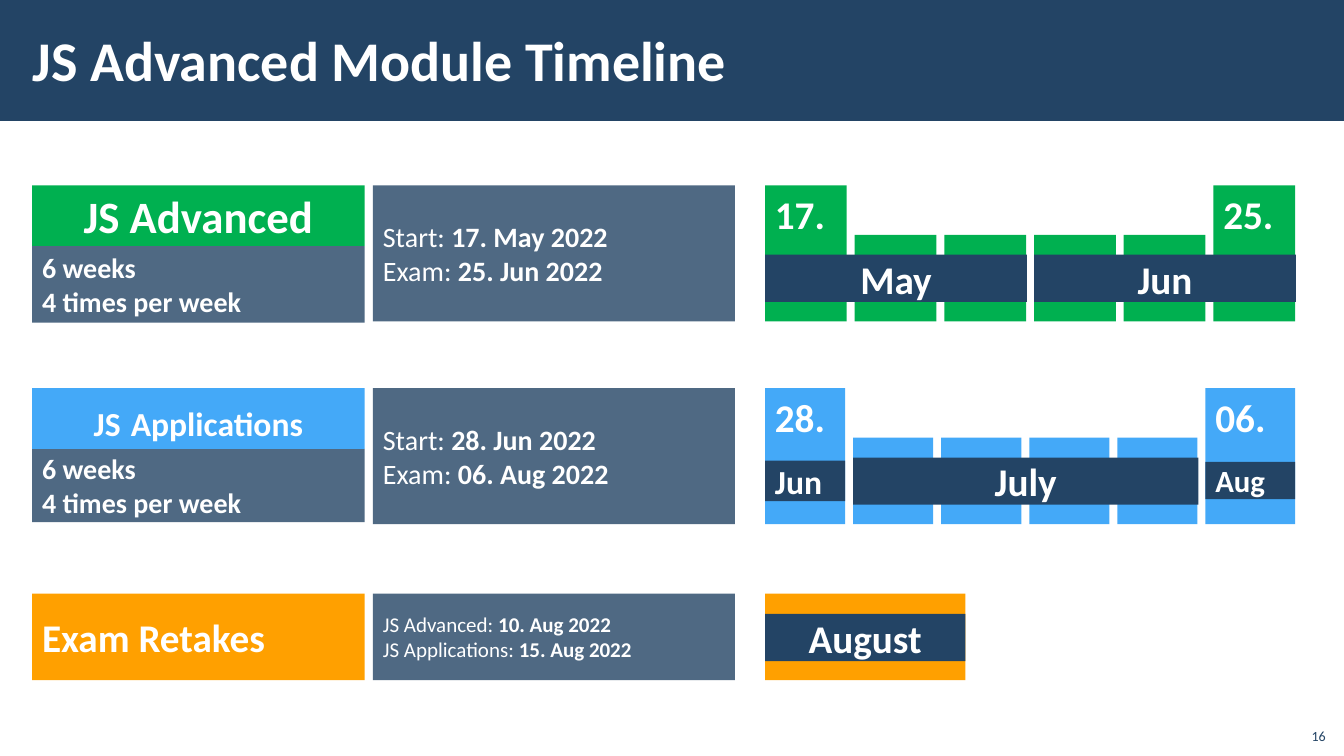
"""Build the module timeline slide with course dates and month bars."""
from dataclasses import dataclass

from lxml.etree import SubElement
from pptx import Presentation
from pptx.dml.color import RGBColor
from pptx.enum.shapes import MSO_SHAPE
from pptx.enum.text import MSO_ANCHOR, PP_ALIGN
from pptx.oxml.ns import qn
from pptx.util import Cm, Pt


@dataclass(frozen=True)
class Theme:
    font: str = "Calibri"
    navy: str = "234465"
    white: str = "FFFFFF"
    green: str = "00B050"
    blue: str = "44A9F8"
    orange: str = "FFA000"
    title: int = 40
    large: int = 32
    head: int = 28
    mid: int = 24
    short: int = 22
    body: int = 20
    small: int = 15
    page: int = 10


theme = Theme()


def write(shape, lines, size, color=theme.white, align=PP_ALIGN.LEFT,
          anchor=MSO_ANCHOR.MIDDLE, bold=True):
    """Fill a shape with lines, each a plain label and a main text."""
    frame = shape.text_frame
    frame.word_wrap = True
    frame.vertical_anchor = anchor
    for i, (label, text) in enumerate(lines):
        para = frame.add_paragraph() if i else frame.paragraphs[0]
        para.alignment = align
        para.font.name = theme.font
        para.font.size = Pt(size)
        para.font.bold = bold
        para.font.color.rgb = RGBColor.from_string(color)
        if label:
            run = para.add_run()
            run.text = label
            run.font.bold = False
        para.add_run().text = text
    return frame


def block(parent, left, top, width, height, color, alpha=None):
    """Draw a plain rectangle, see-through when alpha is given."""
    shape = parent.add_shape(MSO_SHAPE.RECTANGLE, Cm(left), Cm(top), Cm(width), Cm(height))
    shape.shadow.inherit = False
    shape.line.fill.background()
    shape.fill.solid()
    shape.fill.fore_color.rgb = RGBColor.from_string(color)
    if alpha:
        tint = shape._element.spPr.find(qn("a:solidFill"))[0]
        SubElement(tint, qn("a:alpha"), val=str(alpha * 1000))
    return shape


deck = Presentation()
deck.slide_width, deck.slide_height = Cm(33.87), Cm(19.05)
slide = deck.slides.add_slide(deck.slide_layouts[6])
shapes = slide.shapes

block(shapes, 0, 0, 33.87, 3.05, theme.navy)
title = shapes.add_textbox(Cm(0.53), Cm(0.28), Cm(26.97), Cm(2.44))
frame = write(title, [("", "JS Advanced Module Timeline")], theme.title)
frame.margin_left = frame.margin_right = Cm(0.3)
frame.margin_top = frame.margin_bottom = Cm(0.1)
page = shapes.add_textbox(Cm(32.64), Cm(18.08), Cm(1.02), Cm(0.81))
write(page, [("", "16")], theme.page, theme.navy, PP_ALIGN.RIGHT, MSO_ANCHOR.BOTTOM, False)

name_x, name_w = 0.81, 8.38
date_x, date_w = 9.4, 9.12
bar_x, gap = 19.28, 0.2
tall, low, head_h, band_h = 3.43, 2.18, 1.53, 1.19

courses = [
    dict(top=4.67, color=theme.green, name=["JS Advanced"], size=theme.large, weeks_h=1.93,
         dates=["17. May 2022", "25. Jun 2022"], days=["17.", "25."], width=2.06, last=2.06,
         months=[("May", 0, 6.6, 1.75, band_h, theme.head, PP_ALIGN.CENTER),
                 ("Jun", 3, 6.6, 1.75, band_h, theme.head, PP_ALIGN.CENTER)]),
    dict(top=9.78, color=theme.blue, name=["JS", " ", "Applications"], size=theme.mid, weeks_h=1.85,
         dates=["28. Jun 2022", "06. Aug 2022"], days=["28.", "06."], width=2.02, last=2.26,
         months=[("Jun", 0, 2.02, 1.83, 1.02, theme.mid, PP_ALIGN.LEFT),
                 ("July", 1, 8.7, 1.75, band_h, theme.head, PP_ALIGN.CENTER),
                 ("Aug", 5, 2.26, 1.86, 0.94, theme.short, PP_ALIGN.LEFT)]),
]

for course in courses:
    top, color = course["top"], course["color"]
    weeks = block(shapes, name_x, top + head_h, name_w, course["weeks_h"], theme.navy, 80)
    write(weeks, [("", "6 weeks"), ("", "4 times per week")], theme.body)

    head = block(shapes, name_x, top, name_w, head_h, color)
    first, *rest = course["name"]
    frame = write(head, [("", first)], course["size"], align=PP_ALIGN.CENTER)
    for part in rest:
        run = frame.paragraphs[0].add_run()
        run.text = part
        if part == " ":
            run.font.size = Pt(theme.large)

    dates = block(shapes, date_x, top, date_w, tall, theme.navy, 80)
    write(dates, zip(["Start: ", "Exam: "], course["dates"]), theme.body)

    group = shapes.add_group_shape().shapes
    step = course["width"] + gap
    for week in range(6):
        edge = week in (0, 5)
        height = tall if edge else low
        width = course["last"] if week == 5 else course["width"]
        bar = block(group, bar_x + week * step, top + tall - height, width, height, color)
        if edge:
            write(bar, [("", course["days"][week // 5])], theme.head, anchor=MSO_ANCHOR.TOP)
    for month, week, width, drop, height, size, align in course["months"]:
        band = block(group, bar_x + week * step, top + drop, width, height, theme.navy)
        frame = write(band, [("", month)], size, align=align)
        frame.margin_top = frame.margin_bottom = 0

top = 14.96
retake = block(shapes, name_x, top, name_w, low, theme.orange)
write(retake, [("", "Exam Retakes")], theme.head)
dates = block(shapes, date_x, top, date_w, low, theme.navy, 80)
write(dates, [("JS Advanced: ", "10. Aug 2022"), ("JS Applications: ", "15. Aug 2022")], theme.small)
group = shapes.add_group_shape().shapes
block(group, bar_x, top, 5.05, low, theme.orange)
band = block(group, bar_x, top + 0.51, 5.05, band_h, theme.navy)
frame = write(band, [("", "August")], theme.head, align=PP_ALIGN.CENTER)
frame.margin_top = frame.margin_bottom = 0

deck.save("out.pptx")
